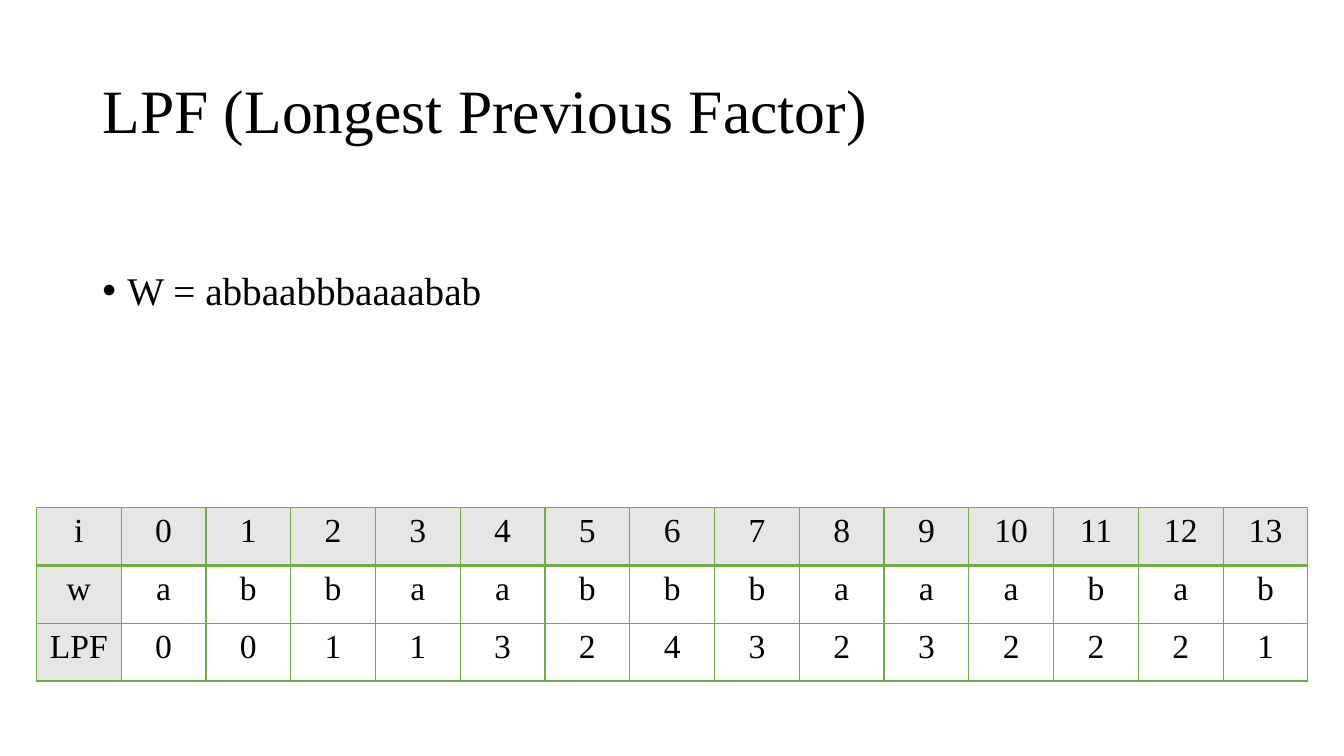
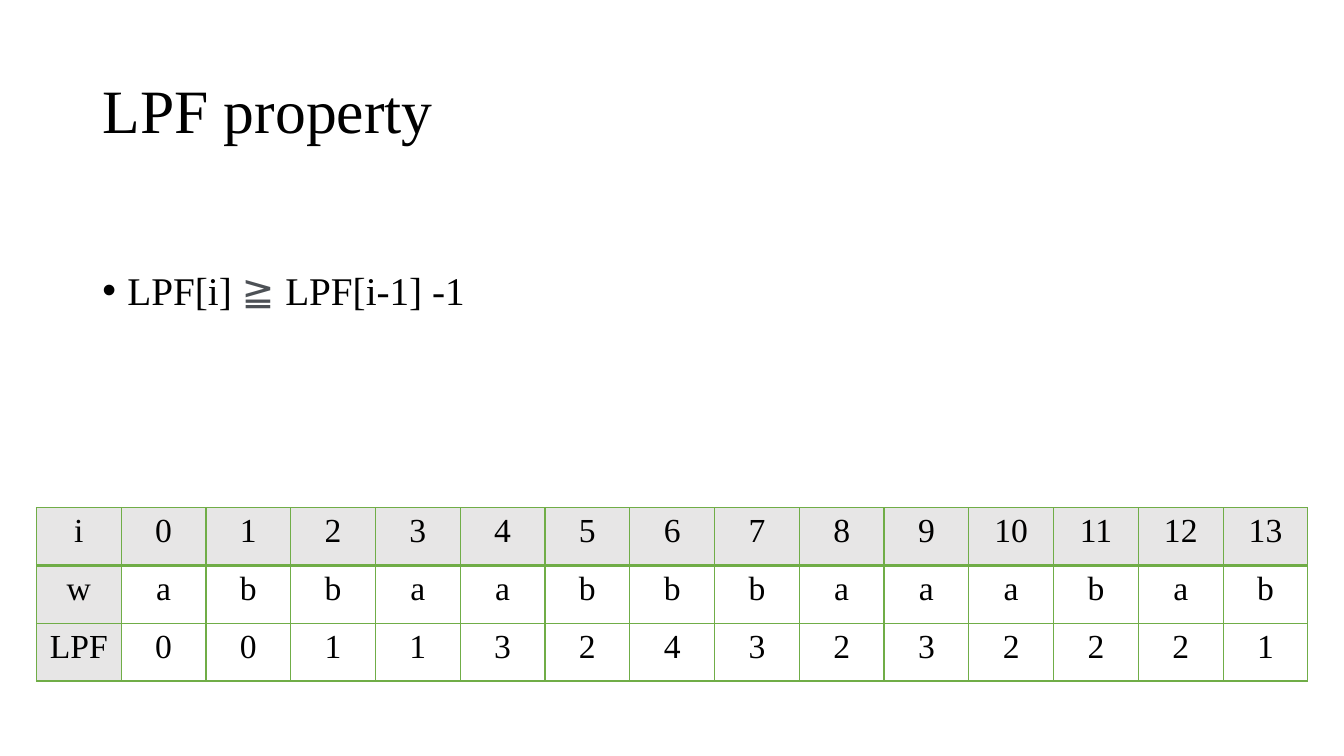
from dataclasses import dataclass

from lxml.etree import SubElement
from pptx import Presentation
from pptx.dml.color import RGBColor
from pptx.enum.text import MSO_ANCHOR as Anchor, MSO_AUTO_SIZE as AutoSize, PP_ALIGN as Align
from pptx.oxml import parse_xml
from pptx.oxml.ns import nsdecls, qn
from pptx.util import Pt


@dataclass(frozen=True)
class Theme:
    font: str = "Times New Roman"
    symbol_font: str = "Arial"
    ink: str = "000000"
    symbol_ink: str = "4D5156"
    header_fill: str = "E7E6E6"
    rule: str = "70AD47"
    title_size: int = 44
    body_size: int = 28
    cell_size: int = 24
    line_spacing: float = 0.9
    thin: int = 1
    thick: int = 2


class SlideBuilder:
    def __init__(self, deck, theme):
        self.deck = deck
        self.theme = theme
        self.page = None

    def add_page(self, title):
        self.page = self.deck.slides.add_slide(self.deck.slide_layouts[5])
        box = self.page.shapes.title
        box.left, box.top, box.width, box.height = Pt(66), Pt(28.8), Pt(828), Pt(104.4)
        frame = box.text_frame
        frame.auto_size = AutoSize.NONE
        frame.vertical_anchor = Anchor.MIDDLE
        para = frame.paragraphs[0]
        para.alignment = Align.LEFT
        para.line_spacing = self.theme.line_spacing
        self.add_span(para, title, self.theme.title_size)

    def add_span(self, para, text, size, symbol=False):
        theme = self.theme
        span = para.add_run()
        span.text = text
        span.font.size = Pt(size)
        span.font.name = theme.symbol_font if symbol else theme.font
        span.font.color.rgb = RGBColor.from_string(theme.symbol_ink if symbol else theme.ink)

    def add_bullet(self, *spans):
        """Add one bulleted line from (text, is_symbol) pairs."""
        box = self.page.shapes.add_textbox(Pt(66), Pt(144), Pt(828), Pt(342.72))
        frame = box.text_frame
        frame.word_wrap = True
        frame.margin_top = Pt(50)
        para = frame.paragraphs[0]
        para.line_spacing = self.theme.line_spacing
        props = para._p.get_or_add_pPr()
        props.set("marL", str(Pt(18)))
        props.set("indent", str(-Pt(18)))
        SubElement(props, qn("a:buFont")).set("typeface", self.theme.symbol_font)
        SubElement(props, qn("a:buChar")).set("char", "•")
        for text, symbol in spans:
            self.add_span(para, text, self.theme.body_size, symbol)

    def add_grid(self, rows):
        """Add a table whose first row and first column are headers."""
        theme = self.theme
        column_width, row_height = Pt(60.57), Pt(41.28)
        columns = len(rows[0])
        frame = self.page.shapes.add_table(
            len(rows), columns, Pt(26), Pt(362.6),
            column_width * columns, row_height * len(rows))
        table = frame.table
        for column in table.columns:
            column.width = column_width
        for r, row in enumerate(rows):
            table.rows[r].height = row_height
            for c, value in enumerate(row):
                cell = table.cell(r, c)
                if r == 0 or c == 0:
                    cell.fill.solid()
                    cell.fill.fore_color.rgb = RGBColor.from_string(theme.header_fill)
                else:
                    cell.fill.background()
                para = cell.text_frame.paragraphs[0]
                para.alignment = Align.CENTER
                self.add_span(para, str(value), theme.cell_size)
                self.set_borders(cell, top=theme.thick if r == 1 else theme.thin,
                                 bottom=theme.thick if r == 0 else theme.thin)

    def set_borders(self, cell, top, bottom):
        props = cell._tc.get_or_add_tcPr()
        sides = (("lnL", self.theme.thin), ("lnR", self.theme.thin), ("lnT", top), ("lnB", bottom))
        for position, (side, width) in enumerate(sides):
            props.insert(position, parse_xml(
                f'<a:{side} {nsdecls("a")} w="{Pt(width)}"><a:solidFill>'
                f'<a:srgbClr val="{self.theme.rule}"/></a:solidFill></a:{side}>'))


LPF_TABLE = [
    ["i", *range(14)],
    ["w", *"abbaabbbaaabab"],
    ["LPF", 0, 0, 1, 1, 3, 2, 4, 3, 2, 3, 2, 2, 2, 1],
]

PAGES = [
    ("LPF (Longest Previous Factor)", [("W = abbaabbbaaaabab", False)]),
    ("LPF property", [("LPF[i] ", False), ("≧ ", True), ("LPF[i-1] -1", False)]),
]


def main():
    deck = Presentation()
    deck.slide_width, deck.slide_height = Pt(960), Pt(540)
    builder = SlideBuilder(deck, Theme())
    for title, spans in PAGES:
        builder.add_page(title)
        builder.add_bullet(*spans)
        builder.add_grid(LPF_TABLE)
    deck.save("out.pptx")


if __name__ == "__main__":
    main()
